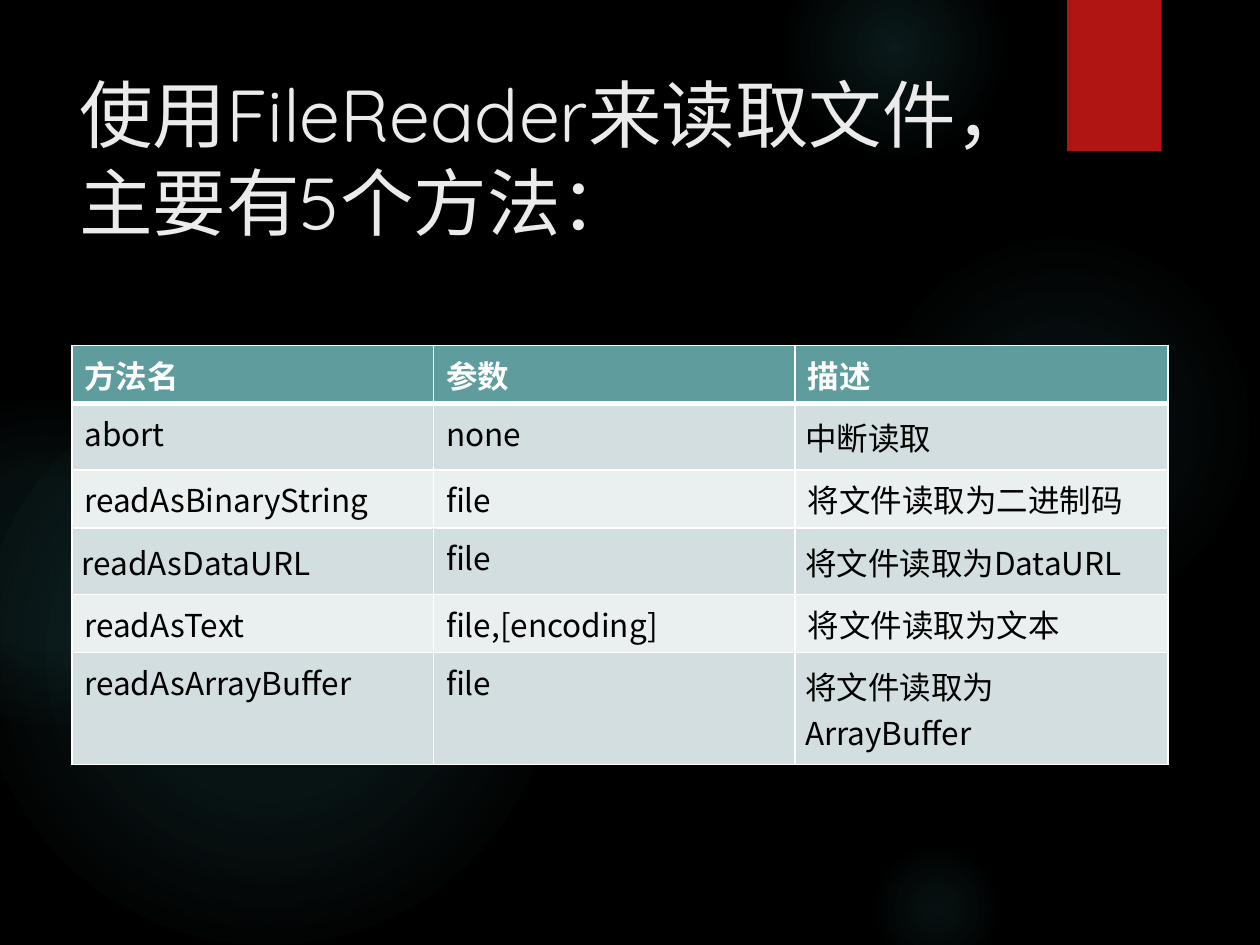
from lxml import etree
from pptx import Presentation
from pptx.dml.color import RGBColor
from pptx.enum.shapes import MSO_SHAPE
from pptx.enum.text import MSO_ANCHOR
from pptx.oxml import parse_xml
from pptx.oxml.ns import nsdecls, qn
from pptx.util import Inches, Pt

OVAL, RECTANGLE = MSO_SHAPE.OVAL, MSO_SHAPE.RECTANGLE
TOP, MIDDLE = MSO_ANCHOR.TOP, MSO_ANCHOR.MIDDLE
COLORS = {
    "background": "000000", "glow": "50B9C1", "ribbon": "B01513",
    "title": "EBEBEB", "header": "5F9C9D", "odd": "D2DEDF",
    "even": "EAEFEF", "rule": "FFFFFF", "body": "000000",
}
TITLE_FONT, BODY_FONT = "Quicksand", "Noto Sans CJK SC"
GLOWS = [
    (6.89, 1.83, 3.08, [(0, 7), (36, 6), (69, 0)]),
    (6.22, -0.5, 1.75, [(0, 14), (36, 7), (73, 0)]),
    (6.89, 6.67, 1.08, [(0, 9), (36, 5), (66, 0)]),
    (-0.17, 2.92, 4.58, [(0, 11), (36, 10), (75, 0)]),
    (-0.92, 3.17, 2.58, [(0, 8), (36, 8), (72, 0)]),
]
METHODS = [
    ("方法名", "参数", "描述"),
    ("abort", "none", "中断读取"),
    ("readAsBinaryString", "file", "将文件读取为二进制码"),
    ("readAsDataURL", "file", "将文件读取为DataURL"),
    ("readAsText", "file,[encoding]", "将文件读取为文本"),
    ("readAsArrayBuffer", "file", "将文件读取为ArrayBuffer"),
]
COLUMN_WIDTHS = [2.87, 2.87, 2.96]
ROW_HEIGHTS = [0.46, 0.53, 0.46, 0.53, 0.46, 0.89]
PADDED_CELLS = {(1, 2), (3, 0), (3, 2), (5, 2)}


def color(name):
    return RGBColor.from_string(COLORS[name])


def add_run(paragraph, text, size, font, color_name, bold=False):
    run = paragraph.add_run()
    run.text = text
    run.font.size = Pt(size)
    run.font.name = font
    run.font.bold = bold
    run.font.color.rgb = color(color_name)
    east_asian = etree.SubElement(run.font._element, qn("a:ea"))
    east_asian.set("typeface", BODY_FONT)


def add_plain_shape(slide, kind, left, top, width, height):
    shape = slide.shapes.add_shape(
        kind, Inches(left), Inches(top), Inches(width), Inches(height))
    shape.shadow.inherit = False
    shape.line.fill.background()
    return shape


def add_glow(slide, left, top, size, stops):
    glow = add_plain_shape(slide, OVAL, left, top, size, size)
    stop_xml = "".join(
        f'<a:gs pos="{position * 1000}"><a:srgbClr val="{COLORS["glow"]}">'
        f'<a:alpha val="{alpha * 1000}"/></a:srgbClr></a:gs>'
        for position, alpha in stops)
    gradient = parse_xml(
        f'<a:gradFill {nsdecls("a")} rotWithShape="1"><a:gsLst>{stop_xml}</a:gsLst>'
        '<a:path path="circle"><a:fillToRect l="50000" t="50000" r="50000" b="50000"/>'
        '</a:path></a:gradFill>')
    glow._element.spPr.find(qn("a:prstGeom")).addnext(gradient)


def add_ribbon(slide):
    ribbon = add_plain_shape(slide, RECTANGLE, 8.47, 0, 0.75, 1.2)
    ribbon.fill.solid()
    ribbon.fill.fore_color.rgb = color("ribbon")


def add_title(slide):
    title = slide.shapes.add_textbox(
        Inches(0.53), Inches(0.5), Inches(7.72), Inches(1.53)).text_frame
    title.word_wrap = True
    title.vertical_anchor = TOP
    add_run(title.paragraphs[0], "使用FileReader来读取文件，主要有5个方法：",
            42, TITLE_FONT, "title")


def set_borders(cell, widths):
    properties = cell._tc.get_or_add_tcPr()
    for index, (side, width) in enumerate(widths.items()):
        properties.insert(index, parse_xml(
            f'<a:{side} {nsdecls("a")} w="{Pt(width)}"><a:solidFill>'
            f'<a:srgbClr val="{COLORS["rule"]}"/></a:solidFill></a:{side}>'))


def fill_cell(cell, text, row, column):
    is_header = row == 0
    band = "header" if is_header else "odd" if row % 2 else "even"
    cell.fill.solid()
    cell.fill.fore_color.rgb = color(band)
    if (row, column) in PADDED_CELLS:
        cell.vertical_anchor = MIDDLE
        cell.margin_left = cell.margin_right = Inches(0.08)
        cell.margin_top = cell.margin_bottom = Inches(0.08)
    set_borders(cell, {
        "lnL": 1, "lnR": 1,
        "lnT": 3 if row == 1 else 1,
        "lnB": 3 if is_header else 1,
    })
    add_run(cell.text_frame.paragraphs[0], text, 18, BODY_FONT,
            "rule" if is_header else "body", is_header)


def add_method_table(slide):
    table = slide.shapes.add_table(
        len(METHODS), len(COLUMN_WIDTHS), Inches(0.57), Inches(2.74),
        Inches(sum(COLUMN_WIDTHS)), Inches(sum(ROW_HEIGHTS))).table
    for column, width in zip(table.columns, COLUMN_WIDTHS):
        column.width = Inches(width)
    for row, (texts, height) in enumerate(zip(METHODS, ROW_HEIGHTS)):
        table.rows[row].height = Inches(height)
        for column, text in enumerate(texts):
            fill_cell(table.cell(row, column), text, row, column)


def main():
    deck = Presentation()
    deck.slide_width, deck.slide_height = Inches(10), Inches(7.5)
    slide = deck.slides.add_slide(deck.slide_layouts[6])
    slide.background.fill.solid()
    slide.background.fill.fore_color.rgb = color("background")
    for glow in GLOWS:
        add_glow(slide, *glow)
    add_ribbon(slide)
    add_title(slide)
    add_method_table(slide)
    deck.save("out.pptx")


if __name__ == "__main__":
    main()
